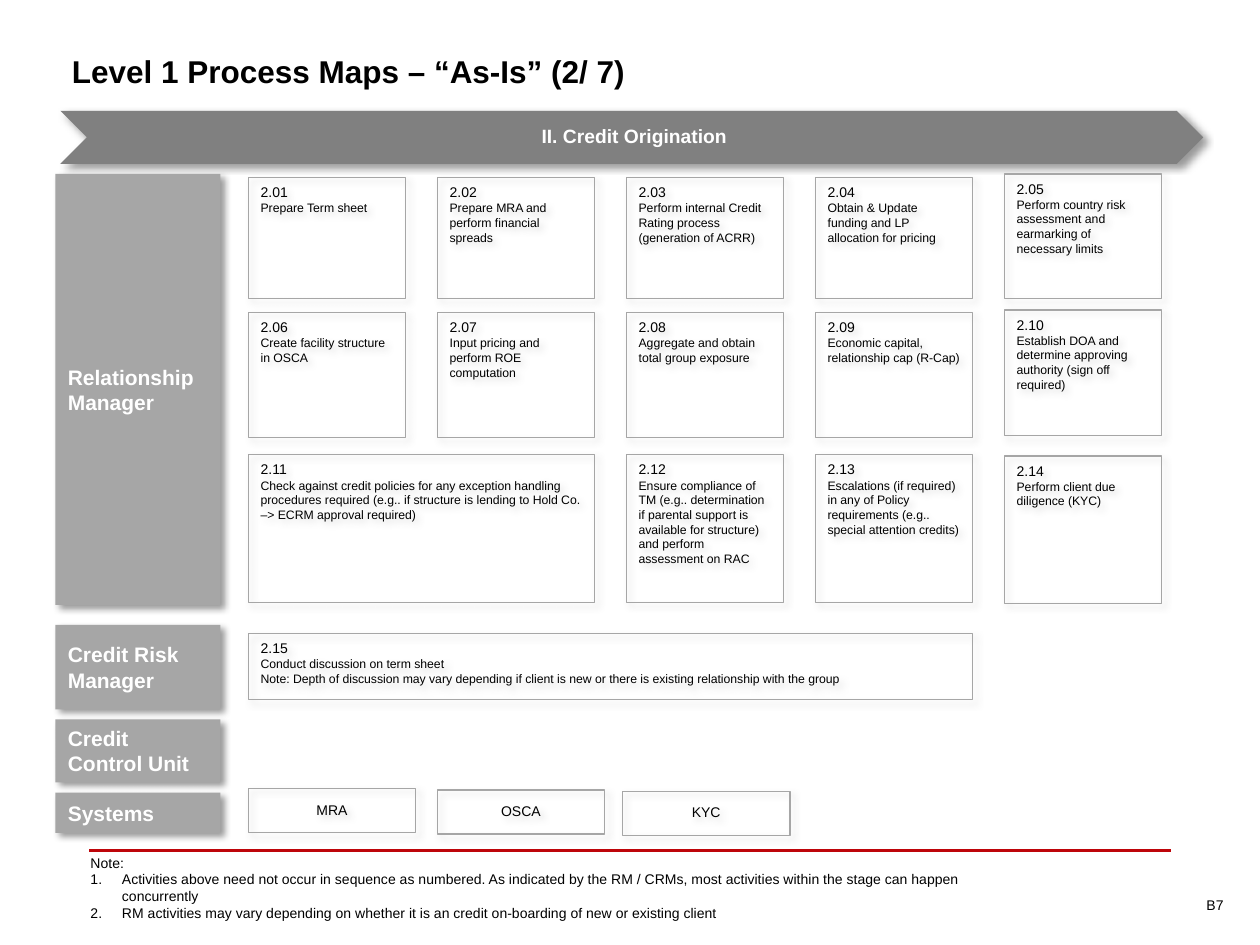
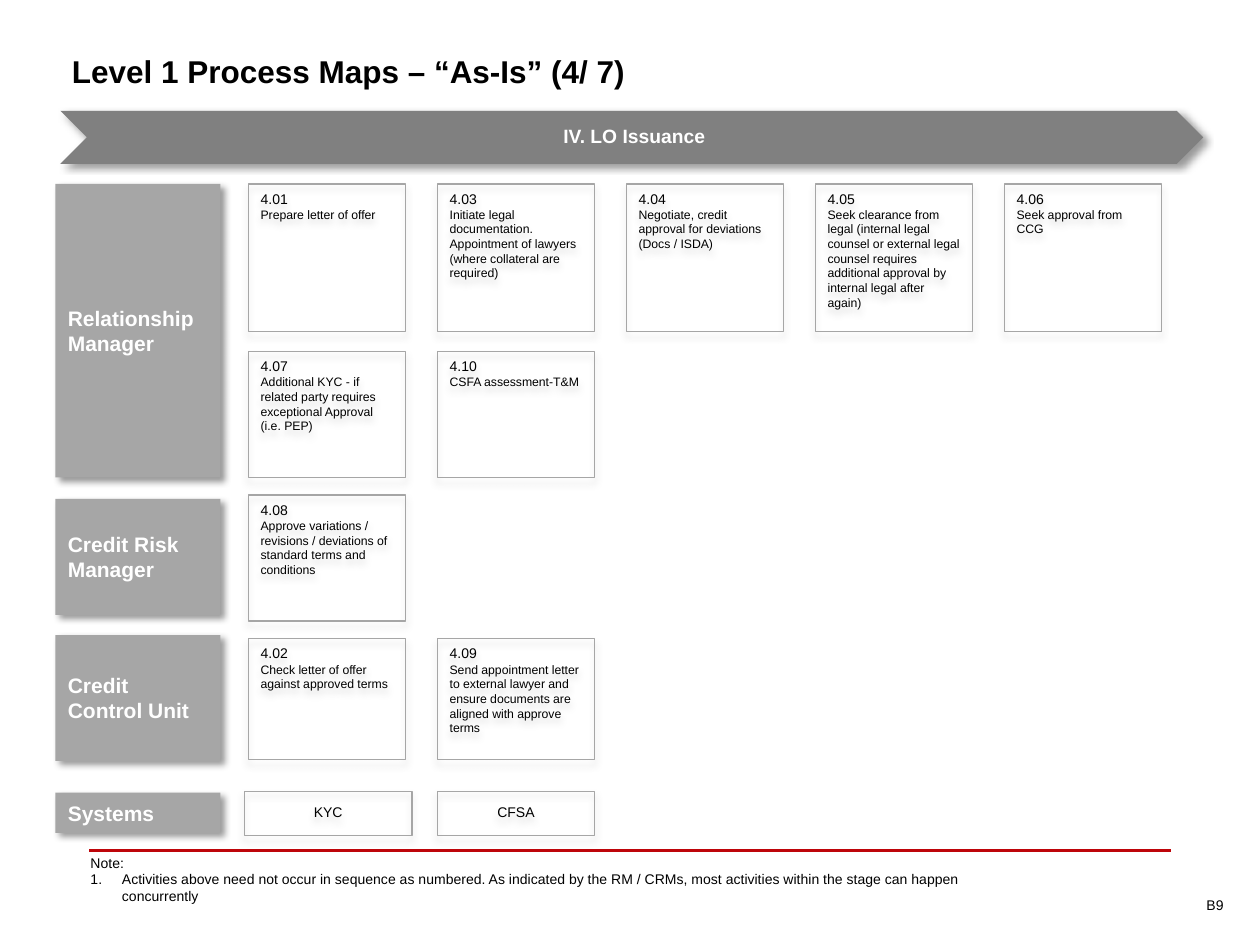
from dataclasses import dataclass

from lxml import etree
from pptx import Presentation
from pptx.dml.color import RGBColor
from pptx.enum.shapes import MSO_CONNECTOR, MSO_SHAPE
from pptx.enum.text import MSO_ANCHOR, MSO_AUTO_SIZE, PP_ALIGN
from pptx.oxml.ns import qn
from pptx.util import Inches, Pt

RECT, CHEVRON = MSO_SHAPE.RECTANGLE, MSO_SHAPE.CHEVRON
STRAIGHT = MSO_CONNECTOR.STRAIGHT
TOP, MIDDLE = MSO_ANCHOR.TOP, MSO_ANCHOR.MIDDLE
LEFT, CENTER, RIGHT = PP_ALIGN.LEFT, PP_ALIGN.CENTER, PP_ALIGN.RIGHT


@dataclass(frozen=True)
class Theme:
    font: str = "Arial"
    black: str = "000000"
    white: str = "FFFFFF"
    dark: str = "808080"
    gray: str = "A6A6A6"
    red: str = "BE050A"
    title: float = 18
    label: float = 12
    band: float = 11
    small: float = 8
    tiny: float = 7


# Grid of cards and place of the role labels
CARD_X, CARD_W, STEP = 1.97, 1.25, 1.5
ROLE_X, ROLE_W = 0.44, 1.31
SYS_H = 0.35


class Deck:
    def __init__(self, theme):
        self.theme = theme
        self.prs = Presentation()
        self.prs.slide_width, self.prs.slide_height = Inches(10), Inches(7.5)
        self.slide = None

    # Helpers for text and shadow
    def style(self, para, size, color, bold=False, align=LEFT):
        para.alignment = align
        font = para.font
        font.name, font.size, font.bold = self.theme.font, Pt(size), bold
        font.color.rgb = RGBColor.from_string(color)

    def frame(self, shape, anchor=TOP, pads=(0.1, 0.05, 0.1, 0.05)):
        frame = shape.text_frame
        frame.word_wrap, frame.vertical_anchor = True, anchor
        (frame.margin_left, frame.margin_top,
         frame.margin_right, frame.margin_bottom) = map(Inches, pads)
        return frame

    def shade(self, shape, color, angle):
        shape.shadow.inherit = False
        effects = shape._element.spPr.find(qn("a:effectLst"))
        outer = etree.SubElement(
            effects, qn("a:outerShdw"), blurRad=str(Pt(4)), dist=str(Pt(3)),
            dir=str(angle * 60000), algn="tl", rotWithShape="0")
        tint = etree.SubElement(outer, qn("a:srgbClr"), val=color)
        etree.SubElement(tint, qn("a:alpha"), val="40000")

    def solid(self, kind, box, color):
        shape = self.slide.shapes.add_shape(kind, *map(Inches, box))
        shape.fill.solid()
        shape.fill.fore_color.rgb = RGBColor.from_string(color)
        shape.line.fill.background()
        self.shade(shape, self.theme.black, 45)
        return shape

    def outline(self, box, angle):
        shape = self.slide.shapes.add_shape(RECT, *map(Inches, box))
        shape.fill.background()
        shape.line.color.rgb = RGBColor.from_string(self.theme.gray)
        shape.line.width = Pt(0.75)
        self.shade(shape, self.theme.gray, angle)
        return shape

    def text(self, box):
        return self.slide.shapes.add_textbox(*map(Inches, box))

    # Parts of a slide
    def start(self, title):
        self.slide = self.prs.slides.add_slide(self.prs.slide_layouts[5])
        self.rule()
        head = self.slide.shapes.title
        head.left, head.top, head.width, head.height = map(
            Inches, (0.47, 0.24, 9.07, 0.65))
        frame = self.frame(head, MIDDLE)
        frame.auto_size = MSO_AUTO_SIZE.NONE
        frame.text = title
        self.style(frame.paragraphs[0], self.theme.title, self.theme.black, True)

    def rule(self):
        line = self.slide.shapes.add_connector(
            STRAIGHT, *map(Inches, (0.71, 6.75, 9.29, 6.75)))
        line.line.color.rgb = RGBColor.from_string(self.theme.red)
        line.line.width = Pt(1.5)
        etree.SubElement(line._element.spPr, qn("a:effectLst"))

    def band(self, words):
        self.solid(CHEVRON, (0.48, 0.88, 9.07, 0.42), self.theme.dark)
        frame = self.frame(self.text((0.69, 0.88, 8.66, 0.42)), MIDDLE,
                           (0.05, 0.02, 0.02, 0.02))
        frame.text = words
        para = frame.paragraphs[0]
        para.line_spacing = 0.9
        self.style(para, self.theme.band, self.theme.white, True, CENTER)

    def role(self, words, top, height):
        box = (ROLE_X, top, ROLE_W, height)
        frame = self.frame(self.solid(RECT, box, self.theme.gray), MIDDLE)
        frame.text = words
        self.style(frame.paragraphs[0], self.theme.label, self.theme.white, True)

    def card(self, col, span, top, height, lines, angle):
        box = (CARD_X + col * STEP, top, CARD_W + (span - 1) * STEP, height)
        frame = self.frame(self.outline(box, angle))
        frame.text = "\n".join(lines)
        for i, para in enumerate(frame.paragraphs):
            size = self.theme.tiny if i else self.theme.small
            self.style(para, size, self.theme.black)

    def system(self, words, left, top, width, angle):
        frame = self.frame(self.outline((left, top, width, SYS_H), angle),
                           MIDDLE, (0.1, 0.03, 0.1, 0.05))
        frame.text = words
        self.style(frame.paragraphs[0], self.theme.small, self.theme.black,
                   align=CENTER)

    def notes(self, items, height):
        frame = self.frame(self.text((0.62, 6.73, 7.47, height)))
        frame.text = "\n".join(["Note:", *items])
        for i, para in enumerate(frame.paragraphs):
            if i:
                props = para._p.get_or_add_pPr()
                props.set("marL", str(Inches(0.25)))
                props.set("indent", str(Inches(-0.25)))
                etree.SubElement(props, qn("a:buAutoNum"), type="arabicPeriod")
            self.style(para, self.theme.small, self.theme.black)

    def page(self, words):
        frame = self.frame(self.text((8.64, 6.97, 1.17, 0.42)), MIDDLE)
        frame.word_wrap = False
        frame.text = words
        self.style(frame.paragraphs[0], self.theme.small, self.theme.black,
                   align=RIGHT)

    def build(self, data):
        self.start(data["title"])
        self.notes(data["notes"], data["note_h"])
        self.band(data["band"])
        for top, height, col, cards in data["rows"]:
            for span, *lines in cards:
                self.card(col, span, top, height, lines, data["angle"])
                col += span
        for item in data["systems"]:
            self.system(*item, data["angle"])
        for name, (top, height) in zip(ROLES, data["roles"]):
            self.role(name, top, height)
        self.page(data["page"])


ROLES = ("Relationship Manager", "Credit Risk Manager",
         "Credit Control Unit", "Systems")
ORDER = ("Activities above need not occur in sequence as numbered. As indicated "
         "by the RM / CRMs, most activities within the stage can happen concurrently")

# Rows: top, height, first column, cards (span, number, lines)
# Systems: name, left, top, width; roles: top, height
ORIGIN = {
    "title": "Level 1 Process Maps – “As-Is” (2/ 7)",
    "band": "II. Credit Origination",
    "page": "B7",
    "angle": 45,
    "notes": [ORDER, "RM activities may vary depending on whether it is an "
                     "credit on-boarding of new or existing client"],
    "note_h": 0.64,
    "roles": [(1.38, 3.42), (4.96, 0.67), (5.71, 0.5), (6.29, 0.32)],
    "systems": [("MRA", 1.97, 6.26, 1.33), ("OSCA", 3.47, 6.27, 1.33),
                ("KYC", 4.94, 6.28, 1.33)],
    "rows": [
        (1.41, 0.96, 0, [
            (1, "2.01", "Prepare Term sheet"),
            (1, "2.02", "Prepare MRA and perform financial spreads"),
            (1, "2.03", "Perform internal Credit Rating process (generation of ACRR)"),
            (1, "2.04", "Obtain & Update funding and LP allocation for pricing")]),
        (1.38, 0.99, 4, [
            (1, "2.05", "Perform country risk assessment and earmarking of "
                        "necessary limits")]),
        (2.48, 0.99, 0, [
            (1, "2.06", "Create facility structure in OSCA"),
            (1, "2.07", "Input pricing and perform ROE computation"),
            (1, "2.08", "Aggregate and obtain total group exposure"),
            (1, "2.09", "Economic capital, relationship cap (R-Cap)")]),
        (2.46, 1, 4, [
            (1, "2.10", "Establish DOA and determine approving authority "
                        "(sign off required)")]),
        (3.61, 1.17, 0, [
            (2, "2.11", "Check against credit policies for any exception handling "
                        "procedures required (e.g.. if structure is lending to "
                        "Hold Co. –> ECRM approval required)"),
            (1, "2.12", "Ensure compliance of TM (e.g.. determination if parental "
                        "support is available for structure) and perform "
                        "assessment on RAC"),
            (1, "2.13", "Escalations (if required) in any of Policy requirements "
                        "(e.g.. special attention credits)")]),
        (3.62, 1.17, 4, [(1, "2.14", "Perform client due diligence (KYC)")]),
        (5.03, 0.52, 0, [
            (4, "2.15", "Conduct discussion on term sheet",
             "Note: Depth of discussion may vary depending if client is new or "
             "there is existing relationship with the group")]),
    ],
}

ISSUE = {
    "title": "Level 1 Process Maps – “As-Is” (4/ 7)",
    "band": "IV. LO Issuance",
    "page": "B9",
    "angle": 90,
    "notes": [ORDER],
    "note_h": 0.5,
    "roles": [(1.46, 2.33), (3.96, 0.92), (5.04, 1), (6.29, 0.32)],
    "systems": [("KYC", 1.94, 6.28, 1.33), ("CFSA", 3.47, 6.28, 1.25)],
    "rows": [
        (1.46, 1.17, 0, [
            (1, "4.01", "Prepare letter of offer"),
            (1, "4.03", "Initiate legal documentation. Appointment of lawyers "
                        "(where collateral are required)"),
            (1, "4.04", "Negotiate, credit approval for deviations (Docs / ISDA)"),
            (1, "4.05", "Seek clearance from legal (internal legal counsel or "
                        "external legal counsel requires additional approval by "
                        "internal legal after again)"),
            (1, "4.06", "Seek approval from CCG")]),
        (2.79, 1, 0, [
            (1, "4.07", "Additional KYC - if related party requires exceptional "
                        "Approval (i.e. PEP)"),
            (1, "4.10", "CSFA assessment-T&M")]),
        (3.93, 1, 0, [
            (1, "4.08", "Approve variations / revisions / deviations of standard "
                        "terms and conditions")]),
        (5.07, 0.96, 0, [
            (1, "4.02", "Check letter of offer against approved terms"),
            (1, "4.09", "Send appointment letter to external lawyer and ensure "
                        "documents are aligned with approve terms")]),
    ],
}


def main():
    deck = Deck(Theme())
    for data in (ORIGIN, ISSUE):
        deck.build(data)
    deck.prs.save("out.pptx")


if __name__ == "__main__":
    main()
